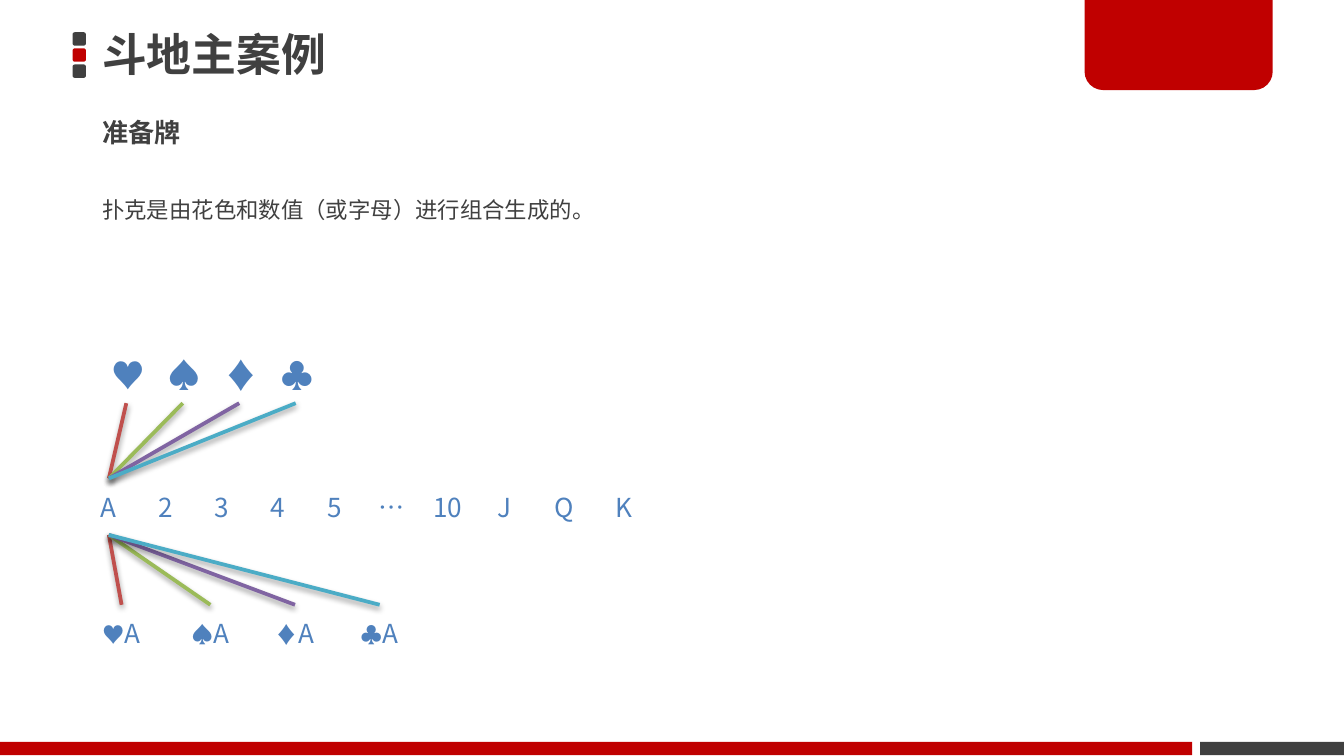
from lxml import etree
from pptx import Presentation
from pptx import util as u
from pptx.dml.color import RGBColor
from pptx.enum import shapes as sh, text as tx
from pptx.oxml import parse_xml
from pptx.oxml.ns import qn

FONT = "Noto Sans CJK JP"
DARK = RGBColor(0x40, 0x40, 0x40)
RED = RGBColor(0xC0, 0x00, 0x00)
BLUE = RGBColor(0x4F, 0x81, 0xBD)
RAYS = [RGBColor(0xC0, 0x50, 0x4D), RGBColor(0x9B, 0xBB, 0x59),
        RGBColor(0x80, 0x64, 0xA2), RGBColor(0x4B, 0xAC, 0xC6)]
SUITS = "♥♠♦♣"
RANKS = ["A", "2", "3", "4", "5", "…", "10", "J", "Q", "K"]
CELL = 0.42
WIDE = 10
SHADOW = (
    '<a:effectLst xmlns:a="http://schemas.openxmlformats.org/drawingml/2006/main">'
    '<a:outerShdw blurRad="40000" dist="20000" dir="5400000" rotWithShape="0">'
    '<a:srgbClr val="000000"><a:alpha val="38000"/></a:srgbClr>'
    '</a:outerShdw></a:effectLst>')


def assign(obj, **vals):
    """Set each named attribute on an object."""
    for name, val in vals.items():
        setattr(obj, name, val)


def block(slide, kind, box, color, adj=()):
    """Draw a plain filled shape."""
    shape = slide.shapes.add_shape(kind, *map(u.Inches, box))
    for i, val in enumerate(adj):
        shape.adjustments[i] = val
    shape.shadow.inherit = False
    shape.fill.solid()
    shape.fill.fore_color.rgb = color
    shape.line.fill.background()


def label(slide, box, runs, color, pad=(0.1, 0.05), bold=False, **para):
    """Write one paragraph of (text, size) runs in a box."""
    shape = slide.shapes.add_textbox(*map(u.Inches, box))
    frame = shape.text_frame
    side, edge = map(u.Inches, pad)
    assign(frame, word_wrap=True, vertical_anchor=tx.MSO_ANCHOR.MIDDLE,
           margin_left=side, margin_right=side, margin_top=edge, margin_bottom=edge)
    line = frame.paragraphs[0]
    assign(line, **para)
    for words, size in runs:
        run = line.add_run()
        run.text = words
        assign(run.font, name=FONT, size=u.Pt(size), bold=bold)
        run.font.color.rgb = color
        for tag in ("a:ea", "a:sym"):
            etree.SubElement(run.font._element, qn(tag), typeface=FONT)
    return shape


def row(slide, lefts, top, width, items):
    """Write a row of centred boxes and return them."""
    return [label(slide, (left, top, width, CELL), runs, BLUE,
                  alignment=tx.PP_ALIGN.CENTER)
            for left, runs in zip(lefts, items)]


def ray(slide, start, end, color):
    """Join the bottom of one box to the top of another."""
    line = slide.shapes.add_connector(sh.MSO_CONNECTOR.STRAIGHT, 0, 0, 0, 0)
    line.begin_connect(start, 2)
    line.end_connect(end, 0)
    line.line.color.rgb = color
    line.line.width = u.Pt(2)
    line._element.spPr.append(parse_xml(SHADOW))


def frame(slide):
    """Draw the marker, the corner tab and the footer bars."""
    kind = sh.MSO_SHAPE
    for i, color in enumerate((DARK, RED, DARK)):
        block(slide, kind.ROUNDED_RECTANGLE, (0.54, 0.24 + 0.12 * i, 0.1, 0.1),
              color, [0.17])
    block(slide, kind.RECTANGLE, (8.93, 5.52, 1.07, 0.1), DARK)
    block(slide, kind.ROUND_2_SAME_RECTANGLE, (8.07, -0.02, 1.4, 0.69), RED, [0, 0.2])
    block(slide, kind.RECTANGLE, (0, 5.52, 8.87, 0.1), RED)


def main():
    """Build the slide and save it."""
    deck = Presentation()
    assign(deck, slide_width=u.Inches(WIDE), slide_height=u.Inches(WIDE * 9 / 16))
    slide = deck.slides.add_slide(deck.slide_layouts[6])
    frame(slide)
    pad = (0.07, 0.04)
    label(slide, (0.69, 0.19, 7.19, 0.42), [("斗地主案例", 24)], DARK, pad, True)
    label(slide, (0.69, 0.77, 4.08, 0.42), [("准备牌", 14)], DARK, pad, True)
    note = label(slide, (0.69, 1.32, 5.65, 0.38),
                 [("扑克是由花色和数值（或字母）进行组合生成的。", 12)],
                 DARK, pad, line_spacing=1.5)
    note.text_frame.vertical_anchor = tx.MSO_ANCHOR.TOP

    suits = row(slide, [0.73 + CELL * i for i in range(4)], 2.58, CELL,
                [[(suit, 18)] for suit in SUITS])
    lefts = [0.6 + CELL * i for i in range(8)] + [3.99, 4.43]
    ranks = row(slide, lefts, 3.56, CELL, [[(rank, 14)] for rank in RANKS])
    cards = row(slide, [0.59, 1.25, 1.88, 2.51], 4.5, 0.63,
                [[(suit, 12), ("A", 14)] for suit in SUITS])
    for suit, card, color in zip(suits, cards, RAYS):
        ray(slide, suit, ranks[0], color)
        ray(slide, ranks[0], card, color)
    deck.save("out.pptx")


if __name__ == "__main__":
    main()
